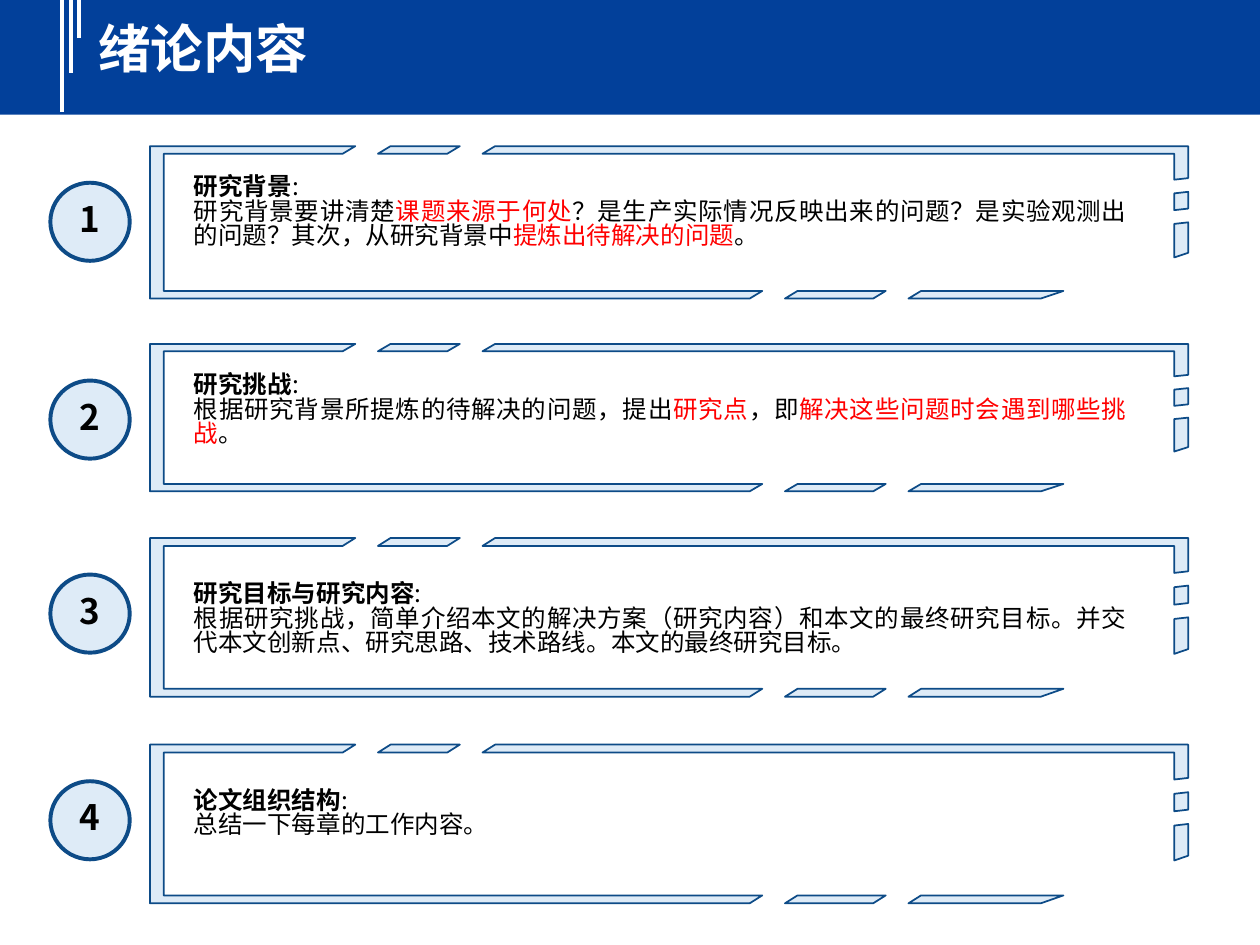
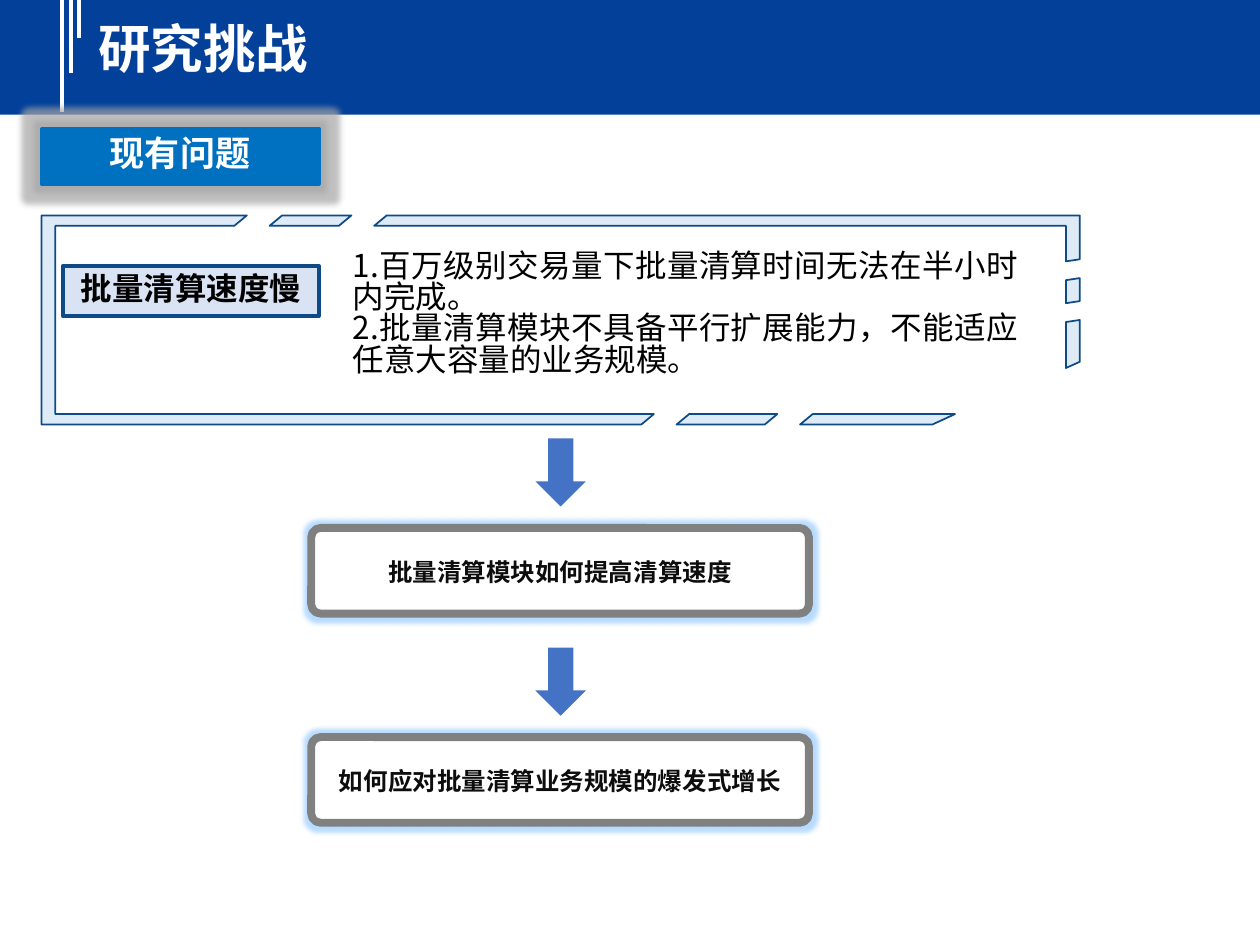
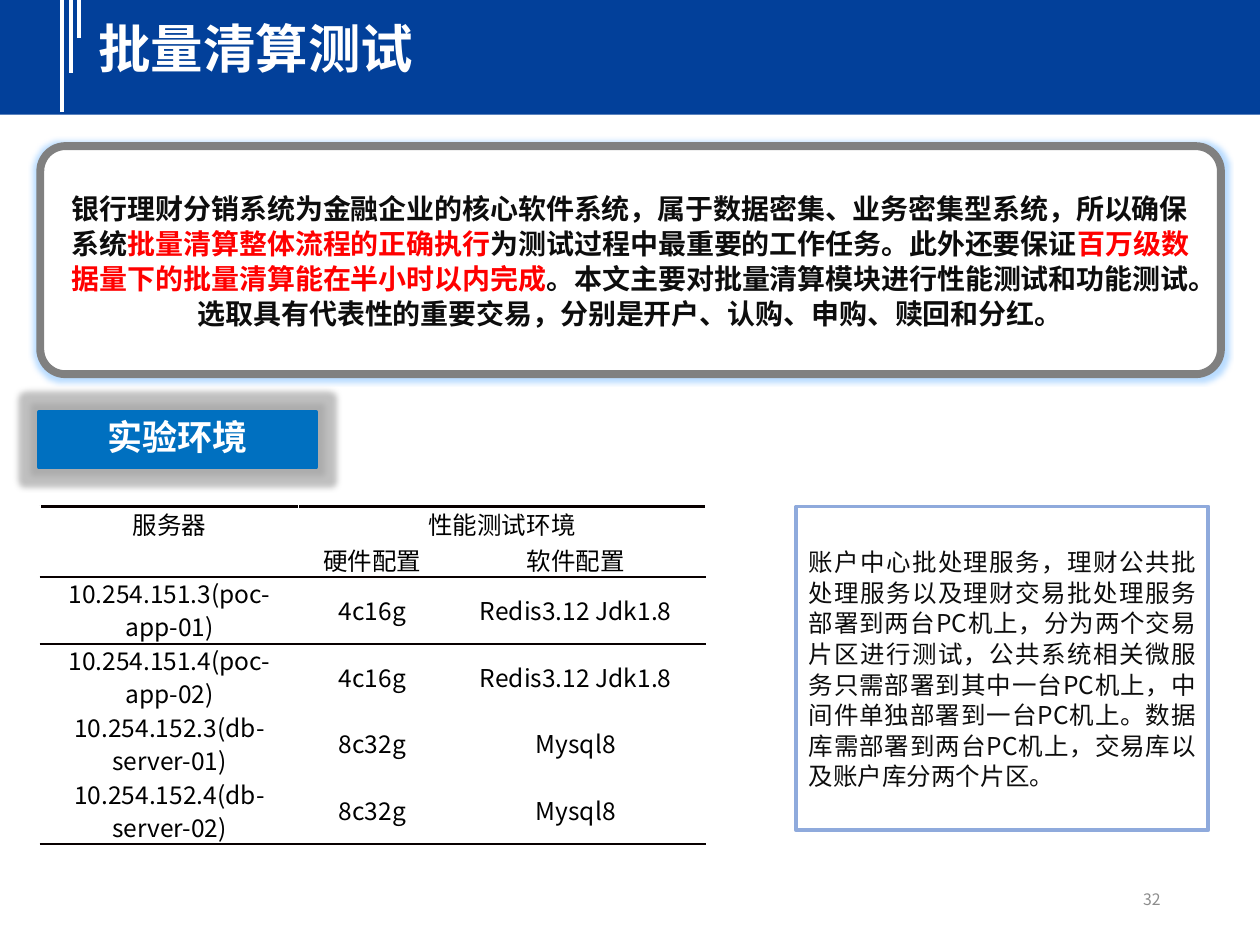
from dataclasses import dataclass
from typing import NamedTuple, Optional, Sequence

from lxml.etree import SubElement
from pptx import Presentation
from pptx.dml.color import RGBColor
from pptx.enum.shapes import MSO_CONNECTOR, MSO_SHAPE
from pptx.enum.text import MSO_ANCHOR, PP_ALIGN
from pptx.oxml.ns import qn
from pptx.shapes.autoshape import Shape
from pptx.slide import Slide
from pptx.table import _Cell
from pptx.text.text import TextFrame, _Paragraph
from pptx.util import Inches, Length, Pt


@dataclass(frozen=True)
class Theme:
    font: str = "Noto Sans CJK SC"
    band: str = "02409A"
    white: str = "FFFFFF"
    black: str = "000000"
    ink: str = "0D0D0D"
    red: str = "FF0000"
    navy: str = "0D4B87"
    pale: str = "DEEBF7"
    tag: str = "DAE3F3"
    label: str = "0070C0"
    arrow: str = "4472C4"
    grey: str = "808080"
    page: str = "8C8C8C"
    note: str = "8FAADC"
    rule: str = "080000"
    label_glow: str = "A6A6A6"
    card_glow: str = "99CCFF"
    title_size: float = 30
    label_size: float = 20
    point_size: float = 18
    summary_size: float = 16
    body_size: float = 14
    page_size: float = 9
    tight: float = 0.83
    cell_spacing: float = 0.93
    loose: float = 1.04


THEME = Theme()
COLUMNS, ROWS = 100, 75
CELL = Inches(0.1)


class Box(NamedTuple):
    """A place on the slide in grid columns and rows."""
    left: float
    top: float
    width: float
    height: float

    def emu(self) -> tuple[Length, ...]:
        return tuple(cells(value) for value in self)


class Run(NamedTuple):
    text: str
    color: Optional[str] = None
    bold: Optional[bool] = None


@dataclass(frozen=True)
class Style:
    size: float
    color: str = THEME.black
    bold: bool = False
    align: PP_ALIGN = PP_ALIGN.CENTER
    spacing: float = THEME.tight


@dataclass(frozen=True)
class Look:
    fill: Optional[str]
    line: Optional[str] = None
    line_width: float = 2.25
    glow: Optional[str] = None
    glow_radius: float = 5


class Topic(NamedTuple):
    heading: str
    body: Sequence[Run]
    top: float
    height: float
    text_offset: float


Paragraphs = Sequence[Sequence[Run]]

TITLE = Style(THEME.title_size, THEME.white, True, PP_ALIGN.LEFT)
LABEL = Style(THEME.label_size, THEME.white, True)
NUMBER = Style(THEME.label_size, bold=True)
TAG = Style(THEME.point_size, bold=True)
TOPIC = Style(THEME.body_size, align=PP_ALIGN.JUSTIFY)
POINTS = Style(THEME.point_size, align=PP_ALIGN.JUSTIFY)
QUESTION = Style(THEME.body_size, THEME.ink, True, spacing=THEME.loose)
SUMMARY = Style(THEME.summary_size, THEME.ink, True, spacing=THEME.loose)
NOTE = Style(THEME.body_size, THEME.ink, align=PP_ALIGN.JUSTIFY, spacing=THEME.loose)
TABLE = Style(THEME.body_size, spacing=THEME.cell_spacing)
PAGE = Style(THEME.page_size, THEME.page, align=PP_ALIGN.RIGHT)

BAND_LOOK = Look(THEME.band)
CIRCLE_LOOK = Look(THEME.pale, THEME.navy)
FRAME_LOOK = Look(THEME.pale, THEME.navy, 1)
TAG_LOOK = Look(THEME.tag, THEME.navy)
LABEL_LOOK = Look(THEME.label, THEME.label, glow=THEME.label_glow, glow_radius=7)
CARD_LOOK = Look(THEME.white, THEME.grey, 4.5, THEME.card_glow)
ARROW_LOOK = Look(THEME.arrow)
NOTE_LOOK = Look(None, THEME.note)

# Broken frame: outlines on a grid of 824 columns and 100 rows.
FRAME_COLUMNS, FRAME_ROWS = 824, 100
FRAME_WIDTH = 82.4
FRAME_PIECES = [
    [(612, 95), (725, 95), (707, 100), (602, 100)],
    [(514, 95), (584, 95), (574, 100), (504, 100)],
    [(824, 50), (824, 70), (813, 73), (813, 51)],
    [(824, 30), (824, 41), (813, 42), (813, 31)],
    [(274, 0), (824, 0), (824, 21), (813, 22), (813, 5), (264, 5)],
    [(191, 0), (246, 0), (236, 5), (181, 5)],
    [(0, 0), (163, 0), (153, 5), (11, 5), (11, 95), (486, 95), (476, 100), (0, 100)],
]

BAND_TOP = -0.3
STRIPE_LEFT, STRIPE_STEP = 4.9, 0.7
STRIPE_ENDS = [8.9, 5.8, 3]

TOPICS = [
    Topic("研究背景", [
        Run("研究背景要讲清楚"), Run("课题来源于何处", THEME.red),
        Run("？是生产实际情况反映出来的问题？是实验观测出的问题？其次，从研究背景中"),
        Run("提炼出待解决的问题", THEME.red), Run("。"),
    ], 11.6, 12.1, 1.9),
    Topic("研究挑战", [
        Run("根据研究背景所提炼的待解决的问题，提出"), Run("研究点", THEME.red), Run("，即"),
        Run("解决这些问题时会遇到哪些挑战", THEME.red), Run("。"),
    ], 27.3, 11.7, 1.9),
    Topic("研究目标与研究内容", [
        Run("根据研究挑战，简单介绍本文的解决方案（研究内容）和本文的最终研究目标。"
            "并交代本文创新点、研究思路、技术路线。本文的最终研究目标。"),
    ], 42.7, 12.6, 3.1),
    Topic("论文组织结构", [Run("总结一下每章的工作内容。")], 59.1, 12.6, 3.1),
]

PROBLEMS = [
    [Run("1.百万级别交易量下批量清算时间无法在半小时内完成。")],
    [Run("2.批量清算模块不具备平行扩展能力，不能适应任意大容量的业务规模。")],
]
QUESTIONS = ["批量清算模块如何提高清算速度", "如何应对批量清算业务规模的爆发式增长"]

TEST_SUMMARY = [
    Run("银行理财分销系统为金融企业的核心软件系统，属于数据密集、业务密集型系统，所以确保系统"),
    Run("批量清算整体流程的正确执行", THEME.red),
    Run("为测试过程中最重要的工作任务。此外还要保证"),
    Run("百万级数据量下的批量清算能在半小时以内完成", THEME.red),
    Run("。本文主要对批量清算模块进行性能测试和功能测试。"
        "选取具有代表性的重要交易，分别是开户、认购、申购、赎回和分红。"),
]
SERVERS = [
    ("服务器", "性能测试环境", ""),
    ("", "硬件配置", "软件配置"),
    ("10.254.151.3(poc-app-01)", "4c16g", "Redis3.12 Jdk1.8"),
    ("10.254.151.4(poc-app-02)", "4c16g", "Redis3.12 Jdk1.8"),
    ("10.254.152.3(db-server-01)", "8c32g", "Mysql8"),
    ("10.254.152.4(db-server-02)", "8c32g", "Mysql8"),
]
SERVER_COLUMNS = [20.5, 11.7, 20.6]
SERVER_ROWS = [2.9, 2.7] + [5.3] * 4
RULED_EDGES = {0: ["a:lnT"], 1: ["a:lnB"], 2: ["a:lnT"], 5: ["a:lnB"]}
DEPLOYMENT = (
    "账户中心批处理服务，理财公共批处理服务以及理财交易批处理服务部署到两台PC机上，"
    "分为两个交易片区进行测试，公共系统相关微服务只需部署到其中一台PC机上，"
    "中间件单独部署到一台PC机上。数据库需部署到两台PC机上，交易库以及账户库分两个片区。"
)


def cells(count: float) -> Length:
    return Length(round(count * CELL))


def rgb(color: str) -> RGBColor:
    return RGBColor.from_string(color)


def style_paragraph(paragraph: _Paragraph, style: Style) -> None:
    paragraph.alignment = style.align
    paragraph.line_spacing = style.spacing
    font = paragraph.font
    font.size = Pt(style.size)
    font.bold = style.bold
    font.color.rgb = rgb(style.color)
    font.name = THEME.font
    SubElement(font._element, qn("a:ea"), typeface=THEME.font)


def write(frame: TextFrame, paragraphs: Paragraphs, style: Style) -> None:
    frame.word_wrap = True
    for index, runs in enumerate(paragraphs):
        paragraph = frame.add_paragraph() if index else frame.paragraphs[0]
        style_paragraph(paragraph, style)
        for part in runs:
            run = paragraph.add_run()
            run.text = part.text
            if part.color:
                run.font.color.rgb = rgb(part.color)
            if part.bold is not None:
                run.font.bold = part.bold


def add_text(slide: Slide, box: Box, paragraphs: Paragraphs, style: Style,
             anchor: MSO_ANCHOR = MSO_ANCHOR.TOP) -> None:
    frame = slide.shapes.add_textbox(*box.emu()).text_frame
    frame.vertical_anchor = anchor
    write(frame, paragraphs, style)


def paint(shape: Shape, look: Look) -> None:
    shape.shadow.inherit = False
    if look.fill:
        shape.fill.solid()
        shape.fill.fore_color.rgb = rgb(look.fill)
    else:
        shape.fill.background()
    if look.line:
        shape.line.color.rgb = rgb(look.line)
        shape.line.width = Pt(look.line_width)
    else:
        shape.line.fill.background()
    if look.glow:
        effects = shape._element.spPr.find(qn("a:effectLst"))
        glow = SubElement(effects, qn("a:glow"), rad=str(Pt(look.glow_radius)))
        color = SubElement(glow, qn("a:srgbClr"), val=look.glow)
        SubElement(color, qn("a:alpha"), val="70000")


def add_box(slide: Slide, kind: MSO_SHAPE, box: Box, look: Look,
            runs: Sequence[Run] = (), style: Optional[Style] = None) -> Shape:
    shape = slide.shapes.add_shape(kind, *box.emu())
    paint(shape, look)
    if style:
        frame = shape.text_frame
        frame.margin_top = frame.margin_bottom = 0
        frame.vertical_anchor = MSO_ANCHOR.MIDDLE
        write(frame, [runs], style)
    return shape


def add_card(slide: Slide, box: Box, runs: Sequence[Run], style: Style) -> None:
    card = add_box(slide, MSO_SHAPE.ROUNDED_RECTANGLE, box, CARD_LOOK, runs, style)
    card.adjustments[0] = 0.11


def add_label(slide: Slide, left: float, top: float, text: str) -> None:
    add_box(slide, MSO_SHAPE.RECTANGLE, Box(left, top, 22, 4.4), LABEL_LOOK, [Run(text)], LABEL)


def add_broken_frame(slide: Slide, left: float, top: float, height: float) -> None:
    scale = (FRAME_COLUMNS / cells(FRAME_WIDTH), FRAME_ROWS / cells(height))
    scale = tuple(1 / factor for factor in scale)
    builder = slide.shapes.build_freeform(*FRAME_PIECES[0][0], scale=scale)
    for index, (start, *others) in enumerate(FRAME_PIECES):
        if index:
            builder.move_to(*start)
        builder.add_line_segments(others, close=True)
    paint(builder.convert_to_shape(cells(left), cells(top)), FRAME_LOOK)


def add_titled_slide(deck: Presentation, title: str) -> Slide:
    slide = deck.slides.add_slide(deck.slide_layouts[6])
    add_box(slide, MSO_SHAPE.RECTANGLE, Box(0, BAND_TOP, COLUMNS, 9.4), BAND_LOOK)
    for index, end in enumerate(STRIPE_ENDS):
        x = cells(STRIPE_LEFT + index * STRIPE_STEP)
        stripe = slide.shapes.add_connector(MSO_CONNECTOR.STRAIGHT, x, cells(BAND_TOP), x, cells(end))
        stripe.line.color.rgb = rgb(THEME.white)
        stripe.line.width = Pt(2.25)
        SubElement(stripe._element.spPr, qn("a:effectLst"))
    add_text(slide, Box(6.8, 1.6, 91.2, 6), [[Run(title)]], TITLE)
    return slide


def rule_edge(cell: _Cell, edge: str) -> None:
    line = SubElement(cell._tc.get_or_add_tcPr(), qn(edge), w=str(Pt(1.5)))
    fill = SubElement(line, qn("a:solidFill"))
    SubElement(fill, qn("a:srgbClr"), val=THEME.rule)


def add_server_table(slide: Slide, left: float, top: float) -> None:
    box = Box(left, top, sum(SERVER_COLUMNS), sum(SERVER_ROWS))
    table = slide.shapes.add_table(len(SERVER_ROWS), len(SERVER_COLUMNS), *box.emu()).table
    table.first_row = table.horz_banding = False
    for column, width in zip(table.columns, SERVER_COLUMNS):
        column.width = cells(width)
    for row_index, (row, height) in enumerate(zip(table.rows, SERVER_ROWS)):
        row.height = cells(height)
        for cell, text in zip(row.cells, SERVERS[row_index]):
            for edge in RULED_EDGES.get(row_index, []):
                rule_edge(cell, edge)
            cell.fill.solid()
            cell.fill.fore_color.rgb = rgb(THEME.white)
            cell.margin_left = cell.margin_right = cells(0.7)
            cell.margin_top = cell.margin_bottom = 0
            cell.vertical_anchor = MSO_ANCHOR.MIDDLE
            write(cell.text_frame, [[Run(text)] if text else []], TABLE)
            if not text:
                SubElement(cell.text_frame.paragraphs[0]._p, qn("a:endParaRPr"),
                           sz=str(round(TABLE.size * 100)))
    table.cell(0, 1).merge(table.cell(0, 2))


def build_introduction(deck: Presentation) -> None:
    slide = add_titled_slide(deck, "绪论内容")
    for number, topic in enumerate(TOPICS, start=1):
        circle = add_box(slide, MSO_SHAPE.OVAL, Box(4, topic.top + 2.9, 6.3, 6.2),
                         CIRCLE_LOOK, [Run(str(number))], NUMBER)
        circle.text_frame.margin_left = circle.text_frame.margin_right = 0
        heading = [Run(topic.heading, bold=True), Run(":")]
        add_text(slide, Box(14.4, topic.top + topic.text_offset, 76, 8.1),
                 [heading, topic.body], TOPIC)
        add_broken_frame(slide, 11.9, topic.top, topic.height)


def build_challenges(deck: Presentation) -> None:
    slide = add_titled_slide(deck, "研究挑战")
    add_box(slide, MSO_SHAPE.RECTANGLE, Box(5, 21.1, 20.3, 4), TAG_LOOK,
            [Run("批量清算速度慢")], TAG)
    add_text(slide, Box(27, 19.5, 54.8, 13.1), PROBLEMS, POINTS)
    add_broken_frame(slide, 3.3, 17.1, 16.6)
    add_label(slide, 3.3, 10.2, "现有问题")
    for index, question in enumerate(QUESTIONS):
        top = 34.8 + index * 16.6
        add_box(slide, MSO_SHAPE.DOWN_ARROW, Box(42.5, top, 4, 5.4), ARROW_LOOK)
        add_card(slide, Box(24.7, top + 7.1, 39.5, 6.8), [Run(question)], QUESTION)


def build_test(deck: Presentation) -> None:
    slide = add_titled_slide(deck, "批量清算测试")
    add_text(slide, Box(70.6, 69.5, 22.5, 4), [[Run("32")]], PAGE, MSO_ANCHOR.MIDDLE)
    add_card(slide, Box(3.2, 11.6, 93.7, 18.1), TEST_SUMMARY, SUMMARY)
    add_server_table(slide, 3.2, 40.2)
    add_label(slide, 3.1, 32.7, "实验环境")
    add_box(slide, MSO_SHAPE.RECTANGLE, Box(63.2, 40.2, 32.7, 25.7), NOTE_LOOK,
            [Run(DEPLOYMENT)], NOTE)


def main() -> None:
    deck = Presentation()
    deck.slide_width, deck.slide_height = cells(COLUMNS), cells(ROWS)
    build_introduction(deck)
    build_challenges(deck)
    build_test(deck)
    deck.save("out.pptx")


if __name__ == "__main__":
    main()
